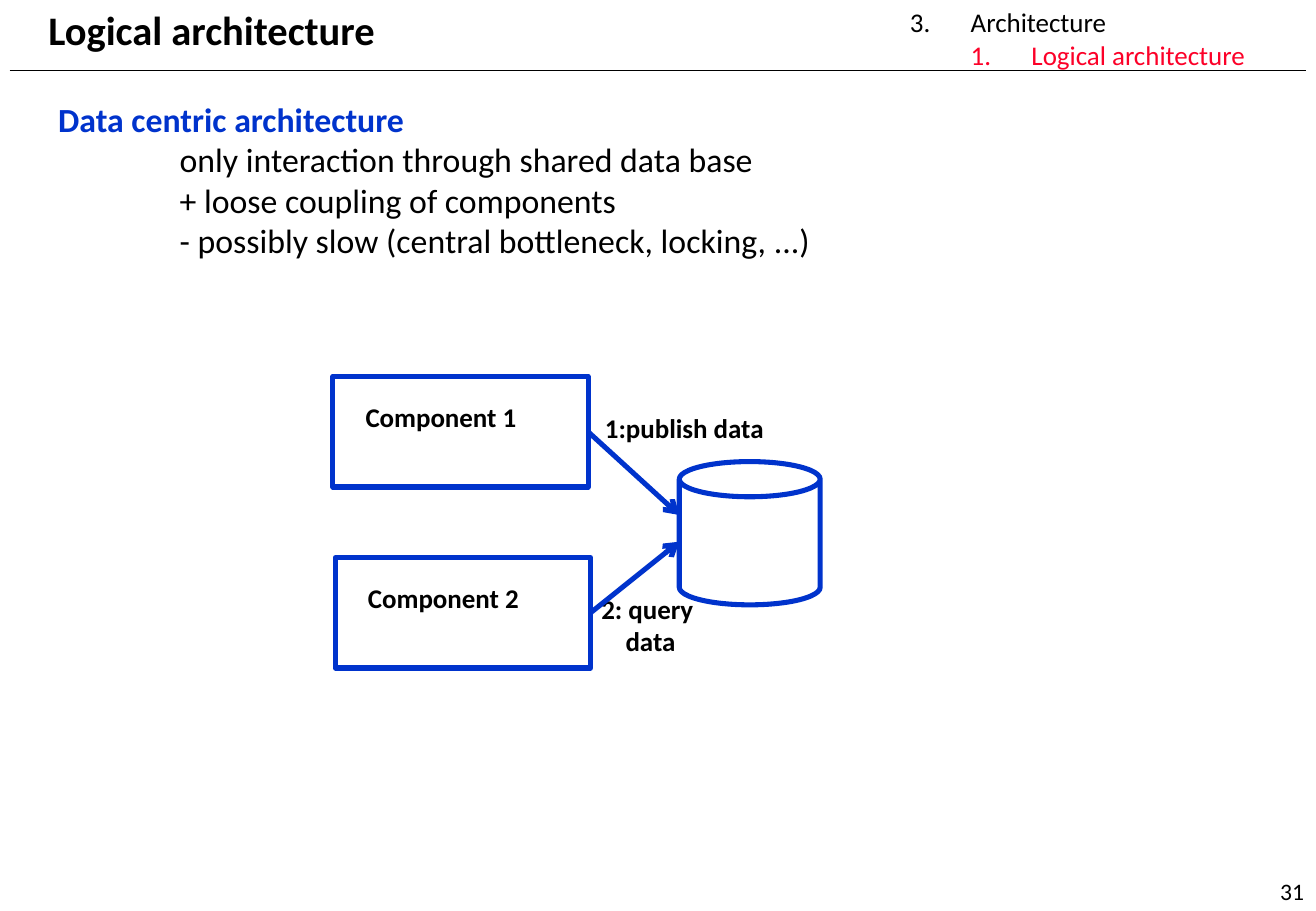
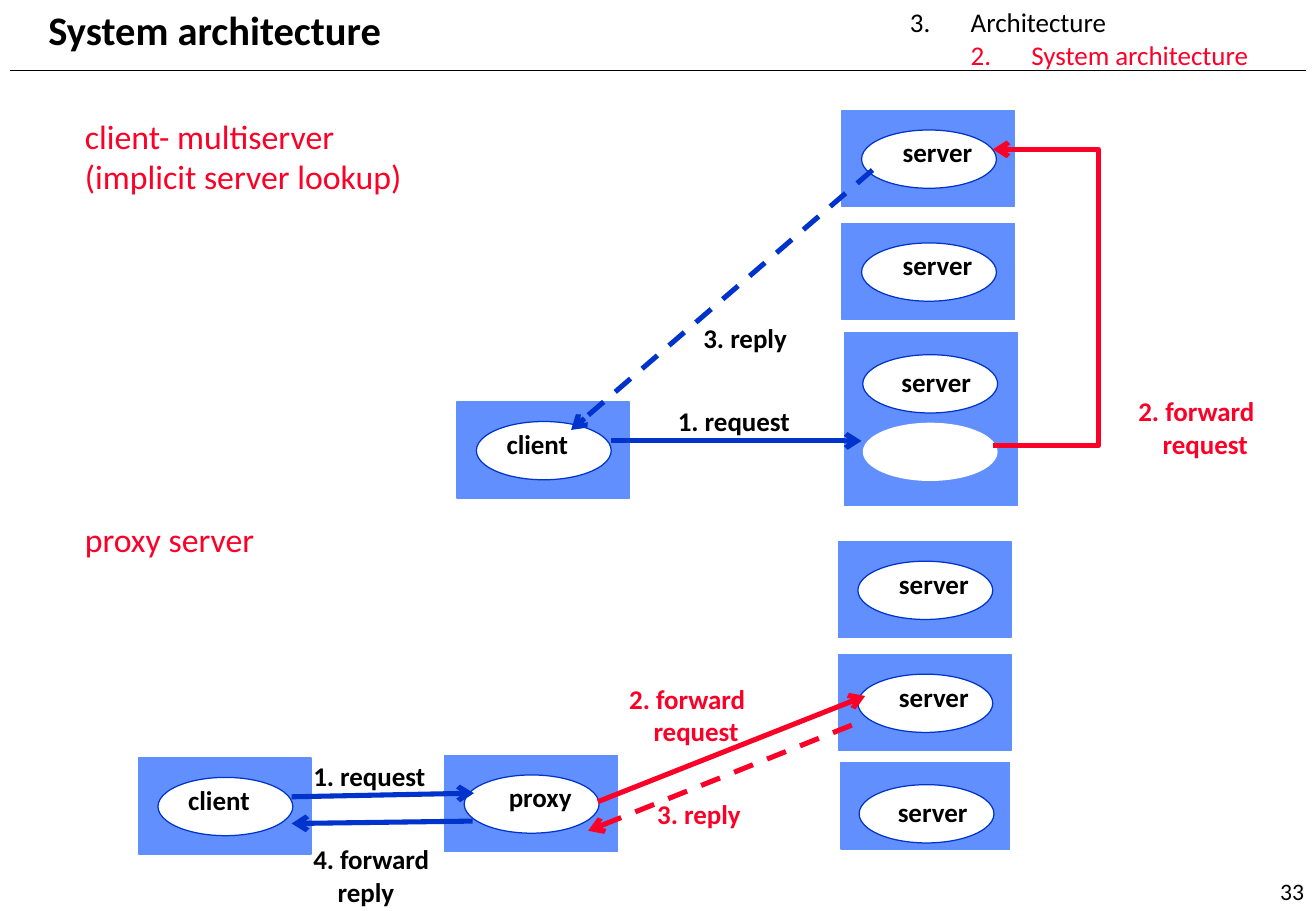
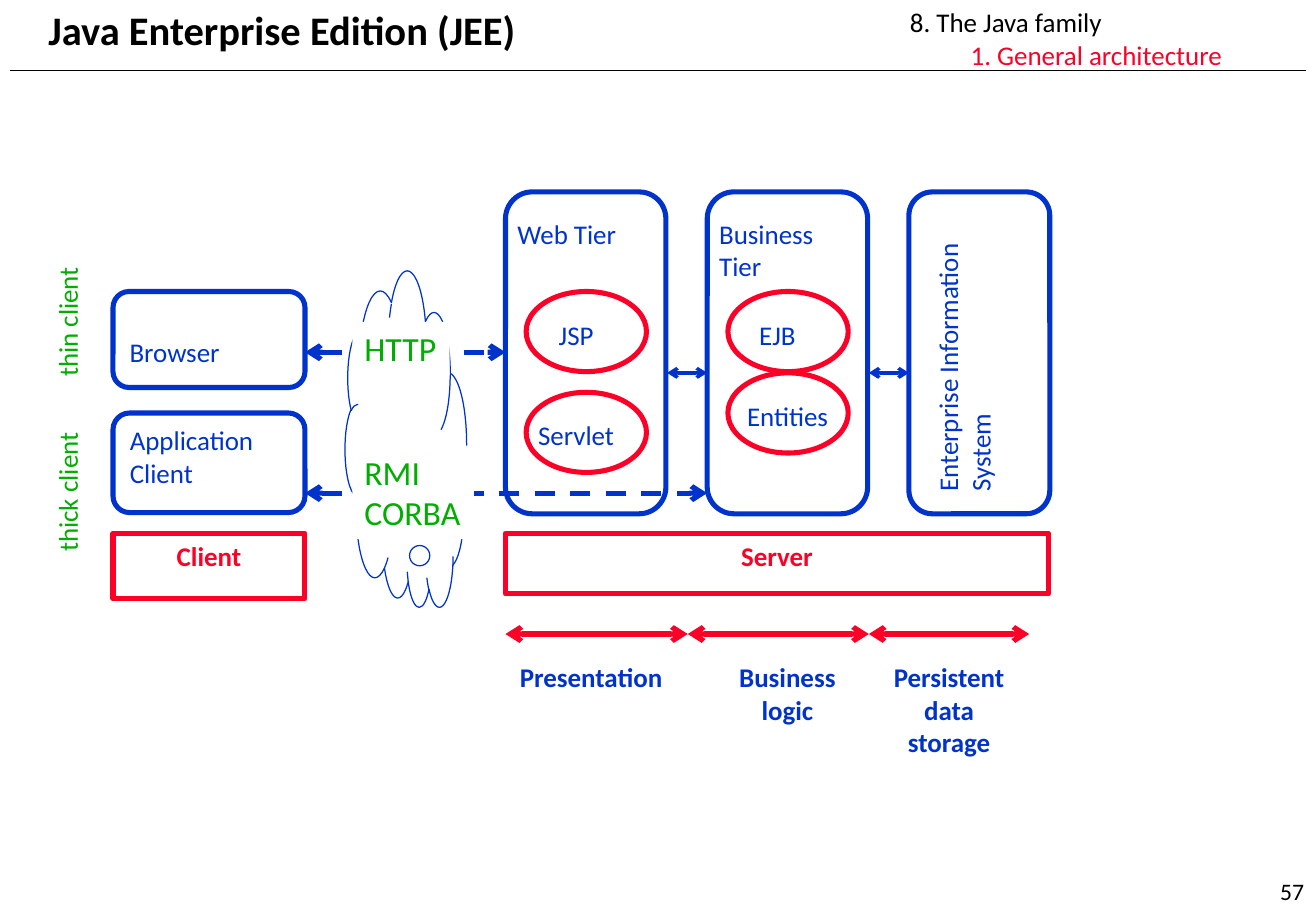
from itertools import pairwise

from lxml.etree import SubElement
from pptx import Presentation
from pptx.dml.color import RGBColor
from pptx.enum.dml import MSO_LINE
from pptx.enum.shapes import MSO_CONNECTOR, MSO_SHAPE
from pptx.enum.text import MSO_ANCHOR, PP_ALIGN
from pptx.oxml.ns import qn
from pptx.util import Inches, Pt

INK = {"black": "000000", "white": "FFFFFF", "blue": "0033CC",
       "sky": "618FFD", "red": "FC0128", "green": "00AE00"}
FONT = "Calibri"
LEFT, MID, RIGHT = PP_ALIGN.LEFT, PP_ALIGN.CENTER, PP_ALIGN.RIGHT
OVAL = (1.11, 0.48)


# Basic parts
def tint(name):
    return RGBColor.from_string(INK[name])


def write(shape, lines, size=16, ink="black", bold=False, align=LEFT,
          anchor=MSO_ANCHOR.TOP, wrap=True):
    """Each line is a text, or a text with its own ink, bold, left and hang."""
    frame = shape.text_frame
    frame.word_wrap = wrap
    frame.vertical_anchor = anchor
    for i, line in enumerate(lines):
        text, own = (line, {}) if isinstance(line, str) else line
        para = frame.add_paragraph() if i else frame.paragraphs[0]
        para.alignment = align
        props = para._p.get_or_add_pPr()
        props.set("marL", str(Inches(own.get("left", 0))))
        props.set("indent", str(Inches(-own.get("hang", 0))))
        run = para.add_run()
        run.text = text
        run.font.name = FONT
        run.font.size = Pt(size)
        run.font.bold = own.get("bold", bold)
        run.font.color.rgb = tint(own.get("ink", ink))
    return shape


def label(slide, x, y, w, h, lines, **style):
    box = slide.shapes.add_textbox(Inches(x), Inches(y), Inches(w), Inches(h))
    return write(box, lines, **style)


def stroke(line, ink, width):
    line.color.rgb = tint(ink)
    line.width = Pt(width)


def form(slide, kind, x, y, w, h, fill="white", ink="blue", width=3):
    shape = slide.shapes.add_shape(kind, Inches(x), Inches(y), Inches(w), Inches(h))
    shape.shadow.inherit = False
    if fill:
        shape.fill.solid()
        shape.fill.fore_color.rgb = tint(fill)
    else:
        shape.fill.background()
    if ink:
        stroke(shape.line, ink, width)
    else:
        shape.line.fill.background()
    return shape


def tip(shape, *ends):
    line = shape.line._get_or_add_ln()
    for end in ends:
        SubElement(line, qn("a:" + end), type="arrow")


def rule(slide, x1, y1, x2, y2, ink="blue", width=3, dash=False, ends=("tailEnd",)):
    line = slide.shapes.add_connector(
        MSO_CONNECTOR.STRAIGHT, Inches(x1), Inches(y1), Inches(x2), Inches(y2))
    stroke(line.line, ink, width)
    if dash:
        line.line.dash_style = MSO_LINE.DASH
    tip(line, *ends)
    SubElement(line._element.spPr, qn("a:effectLst"))
    return line


def both(slide, x1, x2, y, **style):
    return rule(slide, x1, y, x2, y, ends=("headEnd", "tailEnd"), **style)


def second(text):
    return text, {"left": 0.2}


# Shared frame: title, section path, rule and page number
def start(deck, title, crumbs, page):
    slide = deck.slides.add_slide(deck.slide_layouts[6])
    rule(slide, 0.08, 0.58, 10.75, 0.58, ink="black", width=1, ends=())
    label(slide, 8.75, 7, 2.08, 0.5, [page], size=14, align=RIGHT,
          anchor=MSO_ANCHOR.BOTTOM)
    label(slide, 7.39, 0, 3.02, 0.64, crumbs)
    label(slide, 0.3, -0.01, 4.1, 0.5, [title], size=24, bold=True)
    return slide


def trail(part):
    return [("3.\tArchitecture", {"left": 0.5, "hang": 0.5}),
            (part, {"left": 1, "hang": 0.5, "ink": "red"})]


# Data centric architecture
def unit(slide, x, y, name):
    box = form(slide, MSO_SHAPE.RECTANGLE, x, y, 2.1, 0.91)
    label(slide, x + 0.17, y + 0.15, 1.8, 0.6, [name], bold=True)
    return box


def store(slide, x, y):
    one = unit(slide, x + 0.04, y, "Component 1")
    two = unit(slide, x + 0.06, y + 1.49, "Component 2")
    label(slide, x + 2.18, y + 0.24, 1.77, 0.5, ["1:publish data"], bold=True)
    label(slide, x + 2.15, y + 1.73, 1.43, 0.85,
          ["2: query", second("data")], bold=True)
    for box, end in ((one, 1.14), (two, 1.36)):
        line = rule(slide, x + 2.14, y + end, x + 2.89, y + end)
        line.begin_connect(box, 3)
    can = form(slide, MSO_SHAPE.CAN, x + 2.89, y + 0.7, 1.16, 1.18)
    can.adjustments[0] = 0.25


# Client and server nodes
def oval(slide, x, y, ink="blue"):
    form(slide, MSO_SHAPE.OVAL, x, y, *OVAL, ink=ink, width=0.75)


def node(slide, x, y, name, size=(1.42, 0.79), inset=(0.16, 0.16),
         shift=(0.31, 0.16), align=MID):
    form(slide, MSO_SHAPE.RECTANGLE, x, y, *size, fill="sky", ink="sky", width=0.75)
    oval(slide, x + inset[0], y + inset[1])
    label(slide, x + shift[0], y + shift[1], 0.95, 0.48, [name], bold=True, align=align)


def farm(slide, x, y, gap, last):
    """Two equal servers and a last one of its own size."""
    for i in range(2):
        node(slide, x, y + i * 0.93, "server")
    node(slide, x + 0.02, y + gap, "server", last, (0.15, 0.18), (0.28, 0.22))


def step(slide, x, y, lines, ink="black"):
    label(slide, x, y, 1.56, 0.51, lines, ink=ink, bold=True)


def multi(slide, x, y):
    label(slide, x, y, 3, 1.11,
          ["client- multiserver", "(implicit server lookup)"], size=20, ink="red")
    farm(slide, x + 6.33, y + 0.01, 1.83, (1.42, 1.42))
    oval(slide, x + 6.5, y + 2.58, ink=None)
    node(slide, x + 3.16, y + 2.41, "client", align=LEFT)
    # Request and reply
    rule(slide, x + 4.43, y + 2.73, x + 6.49, y + 2.73)
    rule(slide, x + 6.58, y + 0.5, x + 4.1, y + 2.64, dash=True)
    # Forwarding path
    pen = slide.shapes.build_freeform(Inches(x + 7.57), Inches(y + 2.77))
    pen.add_line_segments([(Inches(x + dx), Inches(y + dy)) for dx, dy in
                           ((8.44, 2.77), (8.44, 0.33), (7.57, 0.33))], close=False)
    path = pen.convert_to_shape()
    path.shadow.inherit = False
    path.fill.background()
    stroke(path.line, "red", 3)
    tip(path, "tailEnd")
    step(slide, x + 4.88, y + 2.38, ["1. request"])
    step(slide, x + 8.67, y + 2.3, ["2. forward", second("request")], "red")
    step(slide, x + 5.09, y + 1.7, ["3. reply"])


def proxy(slide, x, y):
    label(slide, x, y + 0.02, 3, 1.11, ["proxy server"], size=20, ink="red")
    farm(slide, x + 6.3, y + 0.26, 1.82, (1.39, 0.71))
    node(slide, x + 0.54, y + 2.04, "client", align=LEFT)
    node(slide, x + 3.06, y + 2.02, "proxy")
    for x1, y1, x2, y2, ink, dash in (
            (1.8, 2.36, 3.3, 2.33, "blue", False),
            (4.32, 2.4, 6.52, 1.53, "red", False),
            (6.41, 1.77, 4.24, 2.64, "red", True),
            (3.29, 2.56, 1.8, 2.58, "blue", False)):
        rule(slide, x + x1, y + y1, x + x2, y + y2, ink=ink, dash=dash)
    step(slide, x + 1.88, y + 2, ["1. request"])
    step(slide, x + 4.48, y + 1.37, ["2. forward", second("request")], "red")
    step(slide, x + 4.71, y + 2.32, ["3. reply"], "red")
    step(slide, x + 1.88, y + 2.69, ["4. forward", second("reply")])


# Enterprise tiers
def tier(slide, x, y, w, title=(), parts=()):
    form(slide, MSO_SHAPE.ROUNDED_RECTANGLE, x, y, w, 2.65)
    if title:
        label(slide, x, y + 0.16, w, 0.66, title, ink="blue")
    for name, top, shift in parts:
        form(slide, MSO_SHAPE.OVAL, x + 0.17, y + top, 0.99, 0.66, ink="red")
        label(slide, x + shift, y + top + 0.17, 1.1, 0.5, [name], ink="blue")


def turned(slide, x, y, w, h, text, ink, wrap):
    label(slide, x, y, w, h, [text], ink=ink, wrap=wrap).rotation = 270


def banner(slide, x, y, w, h, text):
    box = form(slide, MSO_SHAPE.RECTANGLE, x, y, w, h, ink="red")
    write(box, [text], ink="red", bold=True, align=MID)


def server(slide, x, y):
    tier(slide, x, y, 1.32, ["Web Tier"], [("JSP", 0.82, 0.34), ("Servlet", 1.65, 0.17)])
    tier(slide, x + 1.66, y, 1.32, ["Business", "Tier"],
         [("EJB", 0.82, 0.33), ("Entities", 1.49, 0.23)])
    tier(slide, x + 3.32, y, 1.16)
    turned(slide, x + 2.59, y + 0.83, 2.6, 0.87, "Enterprise Information System", "blue", True)
    for left in (1.33, 2.99):
        both(slide, x + left, x + left + 0.33, y + 1.49, width=2)
    banner(slide, x, y + 2.81, 4.47, 0.5, "Server")
    # Roles below the tiers
    for a, b in pairwise((0, 1.5, 2.99, 4.31)):
        both(slide, x + a, x + b, y + 3.64, ink="red")
    for left, w, text, align in ((0.02, 1.64, "Presentation", LEFT),
                                 (1.66, 1.32, "Business logic", MID),
                                 (2.99, 1.32, "Persistent data storage", MID)):
        label(slide, x + left, y + 3.81, w, 0.5, [text], ink="blue", bold=True, align=align)


def client(slide, x, y):
    for top, h, text, inset in ((0, 0.79, "Browser", 0.32),
                                (1, 0.82, "Application Client", 0.05)):
        box = form(slide, MSO_SHAPE.ROUNDED_RECTANGLE, x, y + top, 1.58, h)
        write(box, [text], ink="blue")
        box.text_frame.margin_top = Inches(inset)
    banner(slide, x, y + 1.99, 1.58, 0.54, "Client")
    turned(slide, x - 0.93, y + 0.06, 1.11, 0.37, "thin client", "green", False)
    turned(slide, x - 0.97, y + 1.46, 1.19, 0.37, "thick client", "green", False)


def net(slide, x, y):
    cloud = form(slide, MSO_SHAPE.CLOUD_CALLOUT, x + 0.34, y, 1, 2.77, fill=None, width=0.75)
    cloud.adjustments[0] = 0.02
    cloud.adjustments[1] = -0.06
    cloud._element.spPr.xfrm.set("flipV", "1")
    both(slide, x + 0.01, x + 1.66, y + 0.66, dash=True)
    both(slide, x + 0.01, x + 3.32, y + 1.82, dash=True)
    for top, w, h, lines in ((0.41, 0.8, 0.44, ["HTTP"]),
                             (1.43, 1, 0.77, ["RMI", "CORBA"])):
        box = form(slide, MSO_SHAPE.RECTANGLE, x + 0.4, y + top, w, h, ink=None)
        write(box, lines, size=20, ink="green", wrap=False)


# Slides
def data(deck):
    slide = start(deck, "Logical architecture", trail("1.\tLogical architecture"), "31")
    points = ("only interaction through shared data base",
              "+ loose coupling of components",
              "- possibly slow (central bottleneck, locking, ...)")
    label(slide, 0.38, 0.76, 6.5, 2.12,
          [("Data centric architecture", {"ink": "blue", "bold": True})]
          + [(text, {"left": 1}) for text in points], size=20)
    store(slide, 2.7, 3.1)


def system(deck):
    slide = start(deck, "System architecture", trail("2.\tSystem architecture"), "33")
    multi(slide, 0.6, 0.9)
    proxy(slide, 0.6, 4.2)


def java(deck):
    slide = start(deck, "Java Enterprise Edition (JEE)",
                  ["8. The Java family",
                   ("1. General architecture", {"left": 0.5, "ink": "red"})], "57")
    server(slide, 4.16, 1.58)
    client(slide, 0.93, 2.4)
    net(slide, 2.5, 2.24)


def main():
    deck = Presentation()
    deck.slide_width, deck.slide_height = Inches(10.83), Inches(7.5)
    for build in (data, system, java):
        build(deck)
    deck.save("out.pptx")


if __name__ == "__main__":
    main()
